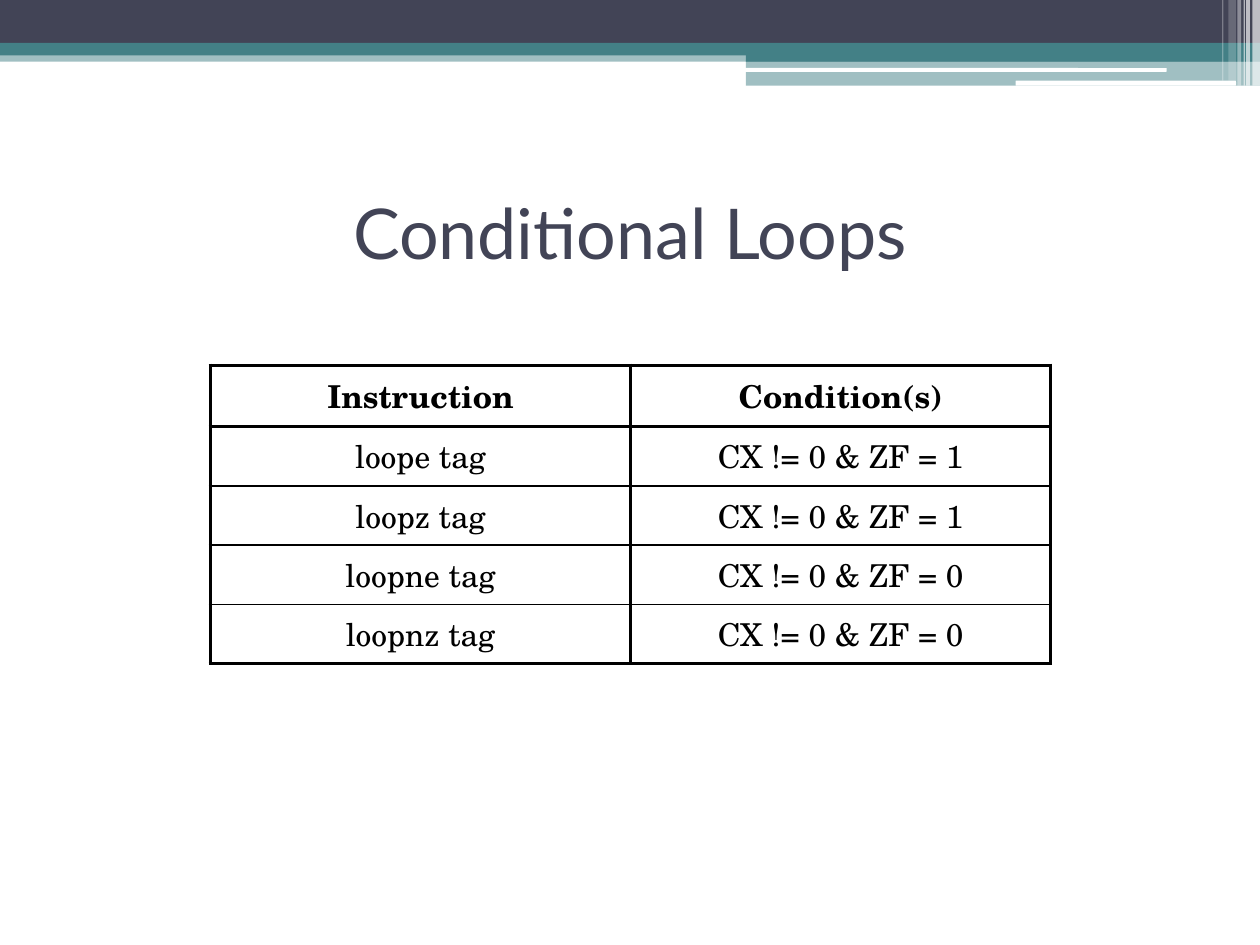
from lxml.etree import SubElement
from pptx import Presentation
from pptx.dml.color import RGBColor
from pptx.enum.shapes import MSO_SHAPE
from pptx.enum.text import MSO_ANCHOR, PP_ALIGN
from pptx.oxml.ns import qn
from pptx.util import Inches, Pt

SLATE = RGBColor(0x42, 0x44, 0x56)
TEAL = RGBColor(0x43, 0x80, 0x86)
WHITE = RGBColor(0xFF, 0xFF, 0xFF)
BLACK = RGBColor(0, 0, 0)

THICK, THIN = 2.25, 1
ROWS = [
    ("Instruction", "Condition(s)"),
    ("loope tag", "CX != 0 & ZF = 1"),
    ("loopz tag", "CX != 0 & ZF = 1"),
    ("loopne tag", "CX != 0 & ZF = 0"),
    ("loopnz tag", "CX != 0 & ZF = 0"),
]
# left, top, width, height, colour, opacity in percent
BANDS = [
    (0, 0.4, 10, 0.09, TEAL, 50),
    (0, 0, 10, 0.34, SLATE, 100),
    (0, 0.34, 10, 0.1, TEAL, 100),
    (5.92, 0.39, 4.08, 0.1, TEAL, 100),
    (5.92, 0.48, 4.08, 0.2, TEAL, 50),
]
PILLS = [(5.91, 0.54, 3.35, 0.03), (8.06, 0.64, 1.75, 0.04)]
# left, width, height, opacity in percent
STRIPES = [
    (9.94, 0.06, 0.68, 65),
    (9.89, 0.03, 0.68, 65),
    (9.87, 0.01, 0.68, 60),
    (9.82, 0.03, 0.68, 40),
    (9.75, 0.06, 0.64, 20),
    (9.7, 0.01, 0.64, 30),
]


def style(target, values):
    for name, value in values.items():
        setattr(target, name, value)


def add_bar(slide, box, color, alpha=100, kind=MSO_SHAPE.RECTANGLE):
    bar = slide.shapes.add_shape(kind, *map(Inches, box))
    bar.shadow.inherit = False
    bar.line.fill.background()
    bar.fill.solid()
    bar.fill.fore_color.rgb = color
    if alpha < 100:
        tint = bar.fill._xPr.find(".//" + qn("a:srgbClr"))
        SubElement(tint, qn("a:alpha"), val=str(alpha * 1000))
    return bar


def add_header(slide, left, top):
    """Draw the header bands, pills and corner stripes from a corner point."""
    for x, y, wide, high, color, alpha in BANDS:
        add_bar(slide, (left + x, top + y, wide, high), color, alpha)
    for x, y, wide, high in PILLS:
        add_bar(slide, (left + x, top + y, wide, high), WHITE,
                kind=MSO_SHAPE.ROUNDED_RECTANGLE)
    for x, wide, high, alpha in STRIPES:
        add_bar(slide, (left + x, top, wide, high), WHITE, alpha)


def set_title(slide, box, text):
    title = slide.shapes.title
    names = ("left", "top", "width", "height")
    style(title, dict(zip(names, map(Inches, box))))
    frame = title.text_frame
    frame.text = text
    style(frame, {"vertical_anchor": MSO_ANCHOR.MIDDLE, "word_wrap": True})
    para = frame.paragraphs[0]
    para.alignment = PP_ALIGN.CENTER
    font = para.runs[0].font
    style(font, {"name": "Lato", "size": Pt(40), "bold": False})
    font.color.rgb = SLATE


def set_edges(cell, top, bottom):
    """Give the cell thick sides and the given top and bottom line widths."""
    props = cell._tc.get_or_add_tcPr()
    widths = {"lnL": THICK, "lnR": THICK, "lnT": top, "lnB": bottom}
    for at, (tag, width) in enumerate(widths.items()):
        edge = props.makeelement(qn("a:" + tag), {"w": str(Pt(width))})
        fill = SubElement(edge, qn("a:solidFill"))
        SubElement(fill, qn("a:srgbClr"), val=str(BLACK))
        props.insert(at, edge)


def add_grid(slide, box, rows):
    shape = slide.shapes.add_table(len(rows), len(rows[0]), *map(Inches, box))
    table = shape.table
    style(table, {"first_row": False, "horz_banding": False})
    last = len(rows) - 1
    for r, texts in enumerate(rows):
        table.rows[r].height = Inches(0.48 if r == 0 else 0.47)
        top = THICK if r <= 1 else THIN
        bottom = THICK if r in (0, last) else THIN
        for c, text in enumerate(texts):
            cell = table.cell(r, c)
            cell.text = text
            cell.vertical_anchor = MSO_ANCHOR.MIDDLE
            cell.fill.background()
            set_edges(cell, top, bottom)
            para = cell.text_frame.paragraphs[0]
            para.alignment = PP_ALIGN.CENTER
            font = para.runs[0].font
            style(font, {"name": "TeX Gyre Schola", "size": Pt(18),
                         "bold": r == 0})
            font.color.rgb = BLACK


def main():
    deck = Presentation()
    style(deck, {"slide_width": Inches(10), "slide_height": Inches(7.5)})
    slide = deck.slides.add_slide(deck.slide_layouts[5])
    add_header(slide, 0, 0)
    set_title(slide, (0.5, 1.25, 9, 1.17), "Conditional Loops")
    add_grid(slide, (1.67, 2.9, 6.67, 2.36), ROWS)
    deck.save("out.pptx")


if __name__ == "__main__":
    main()
